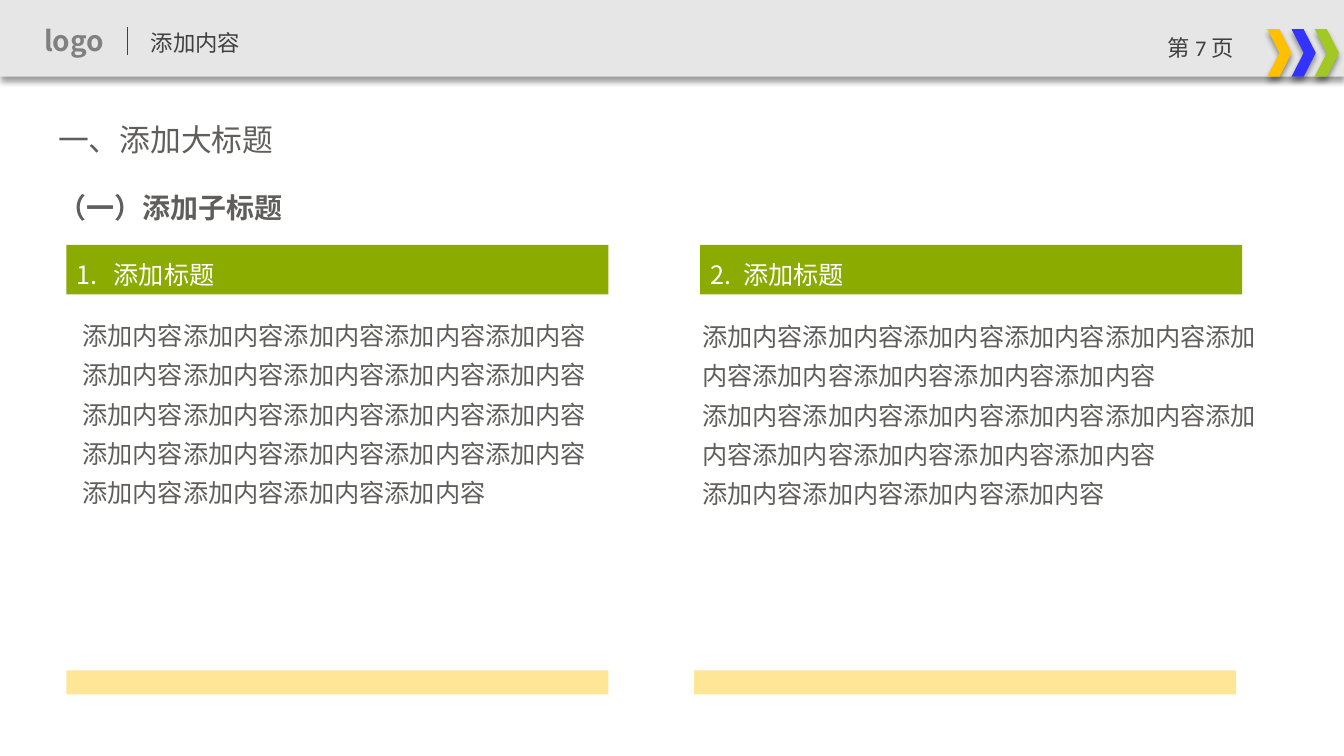
from lxml import etree
from pptx import Presentation
from pptx.dml.color import RGBColor
from pptx.enum.shapes import MSO_CONNECTOR, MSO_SHAPE
from pptx.enum.text import MSO_ANCHOR, PP_ALIGN
from pptx.oxml import parse_xml
from pptx.oxml.ns import nsdecls, qn
from pptx.util import Pt

PX = 9144
CJK_FONT = "Noto Sans CJK SC"
PALE = RGBColor(0xE6, 0xE6, 0xE6)
DARK = RGBColor(0x40, 0x40, 0x40)
GRAY = RGBColor(0x80, 0x80, 0x80)
TEXT = RGBColor(0x5F, 0x5E, 0x5C)
WHITE = RGBColor(0xFF, 0xFF, 0xFF)
GREEN = RGBColor(0x8B, 0xAB, 0x00)
AMBER = RGBColor(0xFF, 0xC0, 0x00)
BLUE = RGBColor(0x33, 0x33, 0xFF)
LIME = RGBColor(0xA1, 0xC9, 0x21)

PHRASE = "添加内容"
BODY = [PHRASE * 10, PHRASE * 10, PHRASE * 4]
PAGE_RUNS = [("第 ", CJK_FONT), ("7 ", "Calibri"), ("页", CJK_FONT)]
CHEVRONS = [AMBER, BLUE, LIME]
LABELS = [
    ("logo", (34, 7, 86, 65), 20, GRAY, True, 1, MSO_ANCHOR.MIDDLE),
    (PHRASE, (140, 24, 327, 37), 16, DARK, False, 1, MSO_ANCHOR.TOP),
    ("一、添加大标题", (48, 115, 544, 47), 22, TEXT, False, 1, MSO_ANCHOR.TOP),
    ("（一）添加子标题", (48, 174, 577, 54), 20, TEXT, True, 1.3, MSO_ANCHOR.TOP),
]
COLUMNS = [
    {"heading": "1.\t添加标题", "tab": 37, "bar": 66, "strip": 66, "body": (72, 304, 524, 286)},
    {"heading": "2.\t添加标题", "tab": 33, "bar": 695, "strip": 689, "body": (687, 305, 585, 203)},
]
BAR_WIDTH = 538

presentation = Presentation()
presentation.slide_width = 1334 * PX
presentation.slide_height = 750 * PX
slide = presentation.slides.add_slide(presentation.slide_layouts[6])


def add_block(kind, box, color, shadow=False, alpha=None):
    shape = slide.shapes.add_shape(kind, *(value * PX for value in box))
    shape.shadow.inherit = False
    shape.fill.solid()
    shape.fill.fore_color.rgb = color
    shape.line.fill.background()
    properties = shape.element.spPr
    if shadow:
        effects = properties.find(qn("a:effectLst"))
        effects.append(parse_xml(
            f'<a:outerShdw {nsdecls("a")} blurRad="{Pt(4)}" dist="{Pt(3)}" dir="5400000" '
            'algn="t" rotWithShape="0"><a:srgbClr val="000000"><a:alpha val="40000"/>'
            '</a:srgbClr></a:outerShdw>'))
    if alpha:
        fill_color = properties.find(qn("a:solidFill")).find(qn("a:srgbClr"))
        etree.SubElement(fill_color, qn("a:alpha"), val=str(alpha * 1000))
    return shape


def add_box(box):
    return slide.shapes.add_textbox(*(value * PX for value in box))


def set_text(shape, lines, size, color, bold=False, spacing=1, anchor=MSO_ANCHOR.TOP, tab=None):
    frame = shape.text_frame
    frame.word_wrap = True
    frame.vertical_anchor = anchor
    for index, line in enumerate(lines):
        paragraph = frame.add_paragraph() if index else frame.paragraphs[0]
        paragraph.alignment = PP_ALIGN.LEFT
        paragraph.line_spacing = spacing
        if tab:
            tabs = etree.SubElement(paragraph._p.get_or_add_pPr(), qn("a:tabLst"))
            etree.SubElement(tabs, qn("a:tab"), pos=str(tab * PX), algn="l")
        paragraph.add_run().text = line
        font = paragraph.font
        font.size = Pt(size)
        font.bold = bold
        font.color.rgb = color
        font.name = CJK_FONT
        etree.SubElement(font._element, qn("a:ea"), typeface=CJK_FONT)


add_block(MSO_SHAPE.RECTANGLE, (0, 0, 1334, 76), PALE, shadow=True)

divider = slide.shapes.add_connector(MSO_CONNECTOR.STRAIGHT, 127 * PX, 27 * PX, 127 * PX, 55 * PX)
divider.line.color.rgb = DARK
divider.line.width = Pt(0.75)
etree.SubElement(divider.element.spPr, qn("a:effectLst"))

for index, color in enumerate(CHEVRONS):
    add_block(MSO_SHAPE.CHEVRON, (1258 + round(23.5 * index), 29, 24, 47), color, shadow=True)

for text, box, size, color, bold, spacing, anchor in LABELS:
    set_text(add_box(box), [text], size, color, bold, spacing, anchor)

page_frame = add_box((1132, 29, 120, 40)).text_frame
page_frame.word_wrap = True
page_line = page_frame.paragraphs[0]
page_line.alignment = PP_ALIGN.CENTER
page_line.font.size = Pt(16)
page_line.font.color.rgb = DARK
for text, font_name in PAGE_RUNS:
    run = page_line.add_run()
    run.text = text
    run.font.name = font_name
    etree.SubElement(run.font._element, qn("a:ea"), typeface=font_name)

for column in COLUMNS:
    bar = add_block(MSO_SHAPE.RECTANGLE, (column["bar"], 243, BAR_WIDTH, 49), GREEN)
    set_text(bar, [column["heading"]], 18, WHITE, spacing=1.3, tab=column["tab"])
    set_text(add_box(column["body"]), BODY, 18, TEXT, spacing=1.3)
    add_block(MSO_SHAPE.RECTANGLE, (column["strip"], 665, BAR_WIDTH, 24), AMBER, alpha=41)

presentation.save("out.pptx")
